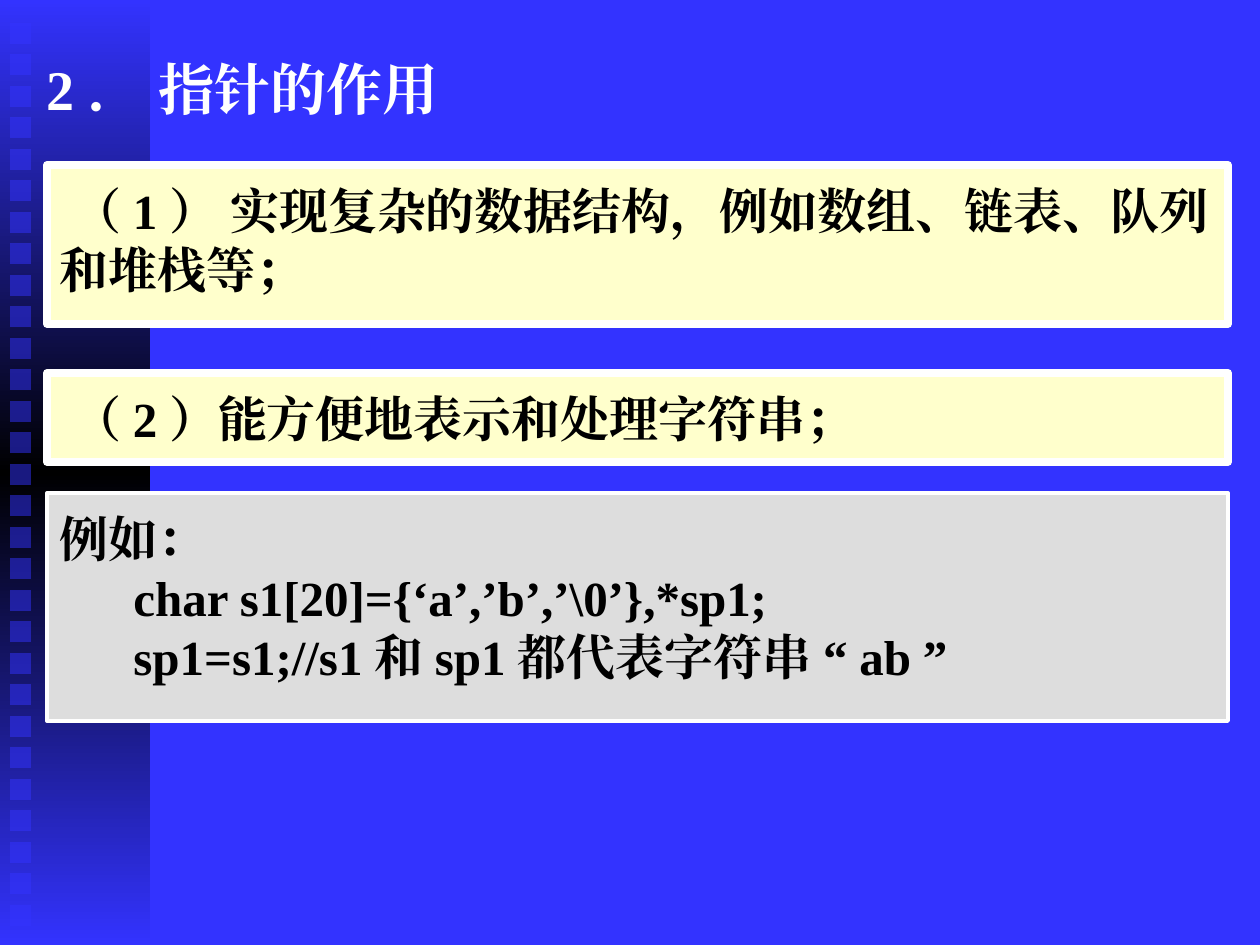
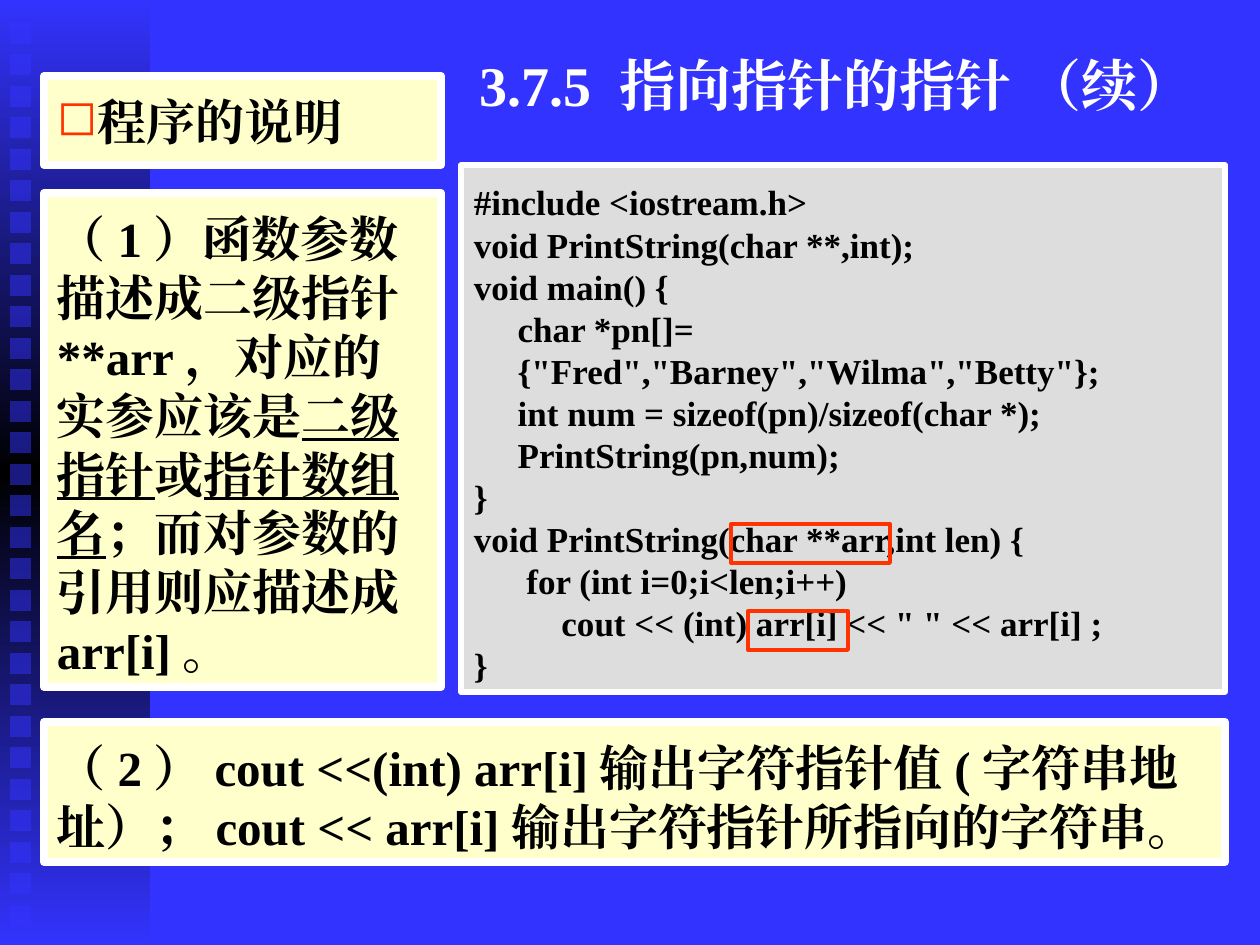
"""Build two lecture slides about pointers in C++."""
from copy import deepcopy

from lxml import etree
from pptx import Presentation
from pptx.dml.color import RGBColor
from pptx.enum.shapes import MSO_SHAPE
from pptx.enum.text import MSO_ANCHOR, PP_ALIGN
from pptx.oxml.ns import qn
from pptx.util import Emu, Pt

RECTANGLE = MSO_SHAPE.RECTANGLE
TOP, MIDDLE = MSO_ANCHOR.TOP, MSO_ANCHOR.MIDDLE
LEFT = PP_ALIGN.LEFT

PX_PER_INCH = 126
WIDTH, HEIGHT = 1260, 945
FONT = "Times New Roman"
COLOURS = {
    "blue": "3333FF", "black": "000000", "white": "FFFFFF",
    "cream": "FFFFCC", "grey": "DDDDDD", "red": "FF3300",
}
BAND_WIDTH = 150
SQUARE_LEFT, SQUARE_TOP, SQUARE_SIZE, SQUARE_COUNT = 10, 23, 21, 29
BULLET, BULLET_INDENT = "◻", 39
TITLE_SIZE, TITLE_INSETS = 32, (13, 6, 13, 6)
PANEL_INSETS = (13, 16, 13, 6)

STRING_EXAMPLE = [
    "例如：",
    r"      char s1[20]={‘a’,’b’,’\0’},*sp1;",
    "      sp1=s1;//s1和sp1都代表字符串 “ab”",
]
PRINT_PROGRAM = [
    "#include <iostream.h>",
    "void PrintString(char **,int);",
    "void main() {",
    "     char *pn[]=",
    '     {"Fred","Barney","Wilma","Betty"};',
    "     int num = sizeof(pn)/sizeof(char *);",
    "     PrintString(pn,num);",
    "}",
    "void PrintString(char **arr,int len) {",
    "      for (int i=0;i<len;i++)",
    '          cout << (int) arr[i] << " " << arr[i] ;',
    "}",
]
PARAMETER_NOTE = [
    ("（1）函数参数描述成二级指针**arr，对应的实参应该是", False),
    ("二级指针", True),
    ("或", False),
    ("指针数组名", True),
    ("；而对参数的引用则应描述成arr[i]。", False),
]
OUTPUT_NOTE = ("（2）cout <<(int) arr[i]输出字符指针值(字符串地址）；"
               "cout << arr[i]输出字符指针所指向的字符串。")

NOTE = {"fill": "cream", "border": 4.5, "size": 28}
SLIDES = [
    {
        "title": ("2． 指针的作用", (34, 52, 1063, 73)),
        "panels": [
            {**NOTE, "box": (47, 165, 1181, 159),
             "lines": [" （1） 实现复杂的数据结构，例如数组、链表、队列和堆栈等；"]},
            {**NOTE, "box": (47, 373, 1181, 89),
             "lines": [" （2）能方便地表示和处理字符串；"]},
            {"fill": "grey", "border": 2.25, "size": 28,
             "box": (47, 493, 1181, 228), "lines": STRING_EXAMPLE},
        ],
        "highlights": [],
    },
    {
        "title": ("3.7.5 指向指针的指针 （续）", (467, 37, 745, 95)),
        "panels": [
            {**NOTE, "box": (44, 76, 397, 89), "lines": ["程序的说明"], "bullet": True},
            {**NOTE, "box": (44, 193, 397, 494), "lines": [PARAMETER_NOTE]},
            {**NOTE, "box": (44, 722, 1181, 140), "lines": [OUTPUT_NOTE]},
            {"fill": "grey", "border": 3, "size": 20,
             "box": (461, 165, 764, 527), "lines": PRINT_PROGRAM},
        ],
        "highlights": [(731, 524, 159, 39), (748, 611, 100, 39)],
    },
]


def px(length):
    return Emu(round(length * 914400 / PX_PER_INCH))


def colour(name):
    return RGBColor.from_string(COLOURS[name])


def add_rectangle(slide, box, fill=None, line=None, line_width=0):
    rectangle = slide.shapes.add_shape(RECTANGLE, *map(px, box))
    rectangle.shadow.inherit = False
    if fill:
        rectangle.fill.solid()
        rectangle.fill.fore_color.rgb = colour(fill)
    else:
        rectangle.fill.background()
    if line:
        rectangle.line.color.rgb = colour(line)
        rectangle.line.width = Pt(line_width)
    else:
        rectangle.line.fill.background()
    return rectangle


def add_side_band(slide):
    band = add_rectangle(slide, (0, 0, BAND_WIDTH, HEIGHT))
    band.fill.gradient()
    band.fill.gradient_angle = 270
    for stop, name, position in zip(band.fill.gradient_stops, ("blue", "black"), (0, 0.5)):
        stop.color.rgb = colour(name)
        stop.position = position
    stop_list = next(band.element.iter(qn("a:gsLst")))
    last_stop = deepcopy(stop_list[0])
    last_stop.set("pos", "100000")
    stop_list.append(last_stop)

    for index in range(SQUARE_COUNT):
        top = SQUARE_TOP + index * PX_PER_INCH // 4
        square = add_rectangle(slide, (SQUARE_LEFT, top, SQUARE_SIZE, SQUARE_SIZE), "blue")
        fill_colour = next(square.element.iter(qn("a:srgbClr")))
        etree.SubElement(fill_colour, qn("a:alpha"), val="50000")


def add_bullet(paragraph):
    properties = paragraph._p.get_or_add_pPr()
    properties.set("marL", str(px(BULLET_INDENT)))
    properties.set("indent", str(-px(BULLET_INDENT)))
    bullet_colour = etree.SubElement(properties, qn("a:buClr"))
    etree.SubElement(bullet_colour, qn("a:srgbClr"), val=COLOURS["red"])
    etree.SubElement(properties, qn("a:buChar"), char=BULLET)


def write_lines(frame, lines, size, text_colour, insets, anchor, bullet=False):
    frame.word_wrap = True
    frame.vertical_anchor = anchor
    (frame.margin_left, frame.margin_top,
     frame.margin_right, frame.margin_bottom) = map(px, insets)
    for index, line in enumerate(lines):
        paragraph = frame.add_paragraph() if index else frame.paragraphs[0]
        if bullet:
            add_bullet(paragraph)
        paragraph.alignment = LEFT
        paragraph.line_spacing = Pt(size * 1.2)
        for text, underlined in [(line, False)] if isinstance(line, str) else line:
            run = paragraph.add_run()
            run.text = text
            run.font.size = Pt(size)
            run.font.bold = True
            run.font.underline = underlined
            run.font.color.rgb = colour(text_colour)
            run.font.name = FONT
            etree.SubElement(run.font._element, qn("a:ea"), typeface=FONT)


def add_panel(slide, panel):
    shape = add_rectangle(slide, panel["box"], panel["fill"], "white", panel["border"])
    write_lines(shape.text_frame, panel["lines"], panel["size"], "black",
                PANEL_INSETS, TOP, panel.get("bullet", False))


def add_title(slide, text, box):
    title = slide.shapes.add_textbox(*map(px, box))
    write_lines(title.text_frame, [text], TITLE_SIZE, "white", TITLE_INSETS, MIDDLE)


def main():
    presentation = Presentation()
    presentation.slide_width, presentation.slide_height = px(WIDTH), px(HEIGHT)
    background = presentation.slide_master.background.fill
    background.solid()
    background.fore_color.rgb = colour("blue")
    for content in SLIDES:
        slide = presentation.slides.add_slide(presentation.slide_layouts[6])
        add_side_band(slide)
        add_title(slide, *content["title"])
        for panel in content["panels"]:
            add_panel(slide, panel)
        for box in content["highlights"]:
            add_rectangle(slide, box, line="red", line_width=2.25)
    presentation.save("out.pptx")


if __name__ == "__main__":
    main()
